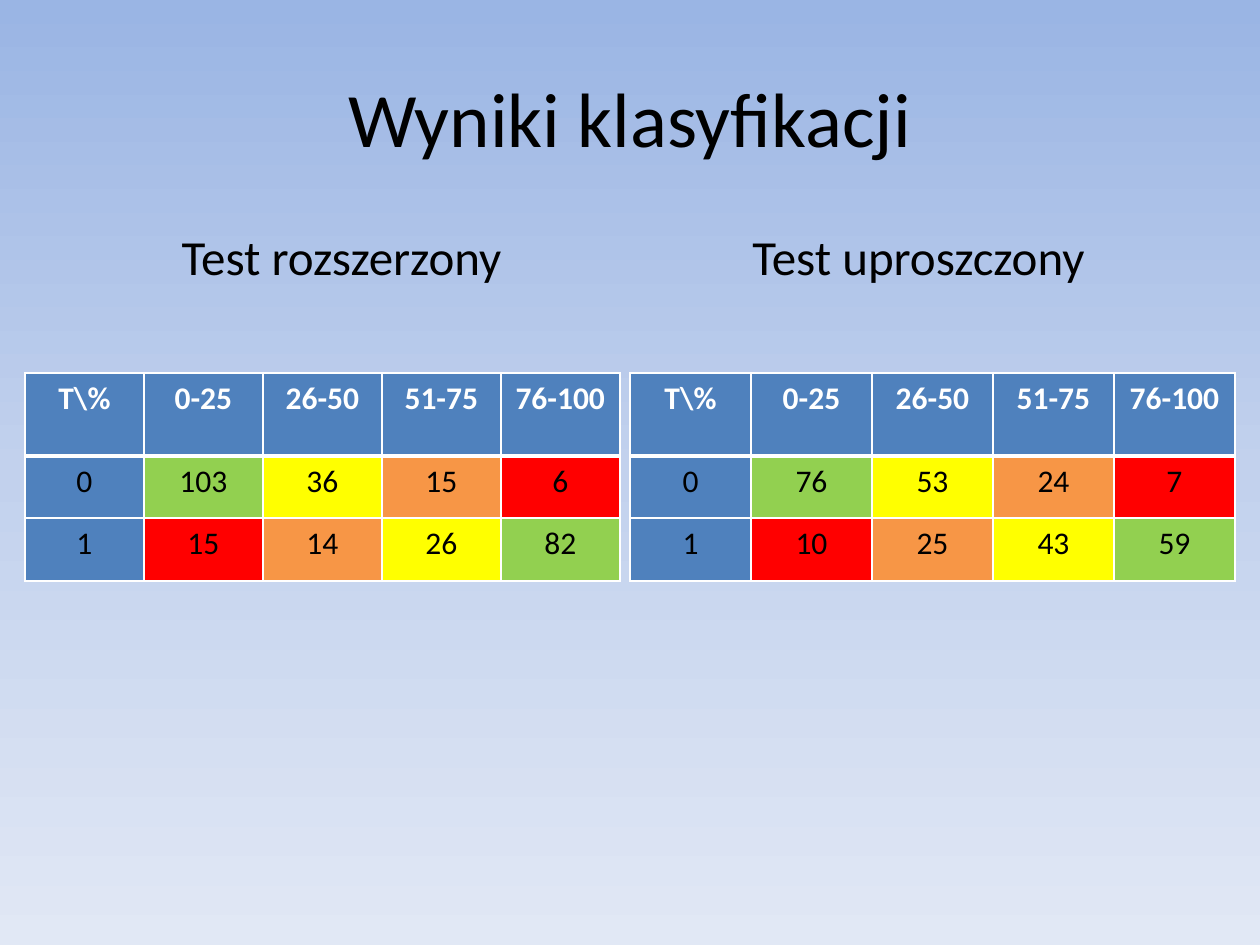
from copy import deepcopy

from lxml.etree import SubElement
from pptx import Presentation
from pptx.dml.color import RGBColor
from pptx.enum.text import MSO_ANCHOR as Anchor, PP_ALIGN as Align
from pptx.oxml.ns import qn
from pptx.util import Emu, Pt

PIXEL = 914400 // 126
FONT = "Calibri"
BLACK, WHITE, BLUE = "000000", "FFFFFF", "4F81BD"
GREEN, YELLOW, ORANGE, RED = "92D050", "FFFF00", "F79646", "FF0000"
HEADER = ["T\\%", "0-25", "26-50", "51-75", "76-100"]
ROW_FILLS = [
    [BLUE] * 5,
    [BLUE, GREEN, YELLOW, ORANGE, RED],
    [BLUE, RED, ORANGE, YELLOW, GREEN],
]
ROW_HEIGHTS = [83, 62, 63]
TABLE_TOP = 373


def px(count):
    return Emu(count * PIXEL)


def color(value):
    return RGBColor.from_string(value)


def set_background(page, stops):
    fill = page.background.fill
    fill.gradient()
    fill.gradient_angle = 270
    stop_list = page.element.find(".//" + qn("a:gsLst"))
    stop_list.insert(1, deepcopy(stop_list[0]))
    for stop, (position, value) in zip(fill.gradient_stops, stops):
        stop.position = position
        stop.color.rgb = color(value)


def write(frame, text, size, value=BLACK, bold=False, before=0):
    para = frame.paragraphs[0]
    para.alignment = Align.CENTER
    para.space_before = Pt(before)
    span = para.add_run()
    span.text = text
    span.font.name = FONT
    span.font.size = Pt(size)
    span.font.bold = bold
    span.font.color.rgb = color(value)


def add_text(page, text, left, top, width, height, size, anchor=Anchor.TOP, before=0):
    box = page.shapes.add_textbox(px(left), px(top), px(width), px(height))
    frame = box.text_frame
    frame.word_wrap = True
    frame.vertical_anchor = anchor
    write(frame, text, size, before=before)


def set_borders(cell, widths):
    properties = cell._tc.get_or_add_tcPr()
    for index, (side, width) in enumerate(widths.items()):
        line = SubElement(properties, qn("a:ln" + side), w=str(Pt(width)))
        fill = SubElement(line, qn("a:solidFill"))
        SubElement(fill, qn("a:srgbClr"), val=WHITE)
        properties.insert(index, line)


def add_results(page, left, column_width, counts):
    rows = [HEADER] + counts
    table = page.shapes.add_table(
        len(rows), len(HEADER), px(left), px(TABLE_TOP),
        px(column_width * len(HEADER)), px(sum(ROW_HEIGHTS)),
    ).table
    for column in table.columns:
        column.width = px(column_width)
    for row, height in zip(table.rows, ROW_HEIGHTS):
        row.height = px(height)
    for r, (texts, fills) in enumerate(zip(rows, ROW_FILLS)):
        is_header = r == 0
        top = 3 if r == 1 else 1
        bottom = 3 if is_header else 1
        for c, (text, value) in enumerate(zip(texts, fills)):
            cell = table.cell(r, c)
            cell.fill.solid()
            cell.fill.fore_color.rgb = color(value)
            write(cell.text_frame, text, 18, WHITE if is_header else BLACK, is_header)
            set_borders(cell, {"L": 1, "R": 1, "T": top, "B": bottom})


def main():
    deck = Presentation()
    deck.slide_width, deck.slide_height = px(1260), px(945)
    page = deck.slides.add_slide(deck.slide_layouts[6])
    set_background(page, [(0, "9AB5E4"), (0.5, "C2D1ED"), (1, "E1E8F5")])
    add_text(page, "Wyniki klasyfikacji", 63, 38, 1134, 157, 44, Anchor.MIDDLE)
    add_text(page, "Test rozszerzony", 63, 220, 557, 624, 28, before=5.6)
    add_text(page, "Test uproszczony", 640, 220, 557, 624, 28, before=5.6)
    add_results(page, 25, 119, [
        ["0", "103", "36", "15", "6"],
        ["1", "15", "14", "26", "82"],
    ])
    add_results(page, 630, 121, [
        ["0", "76", "53", "24", "7"],
        ["1", "10", "25", "43", "59"],
    ])
    deck.save("out.pptx")


main()
